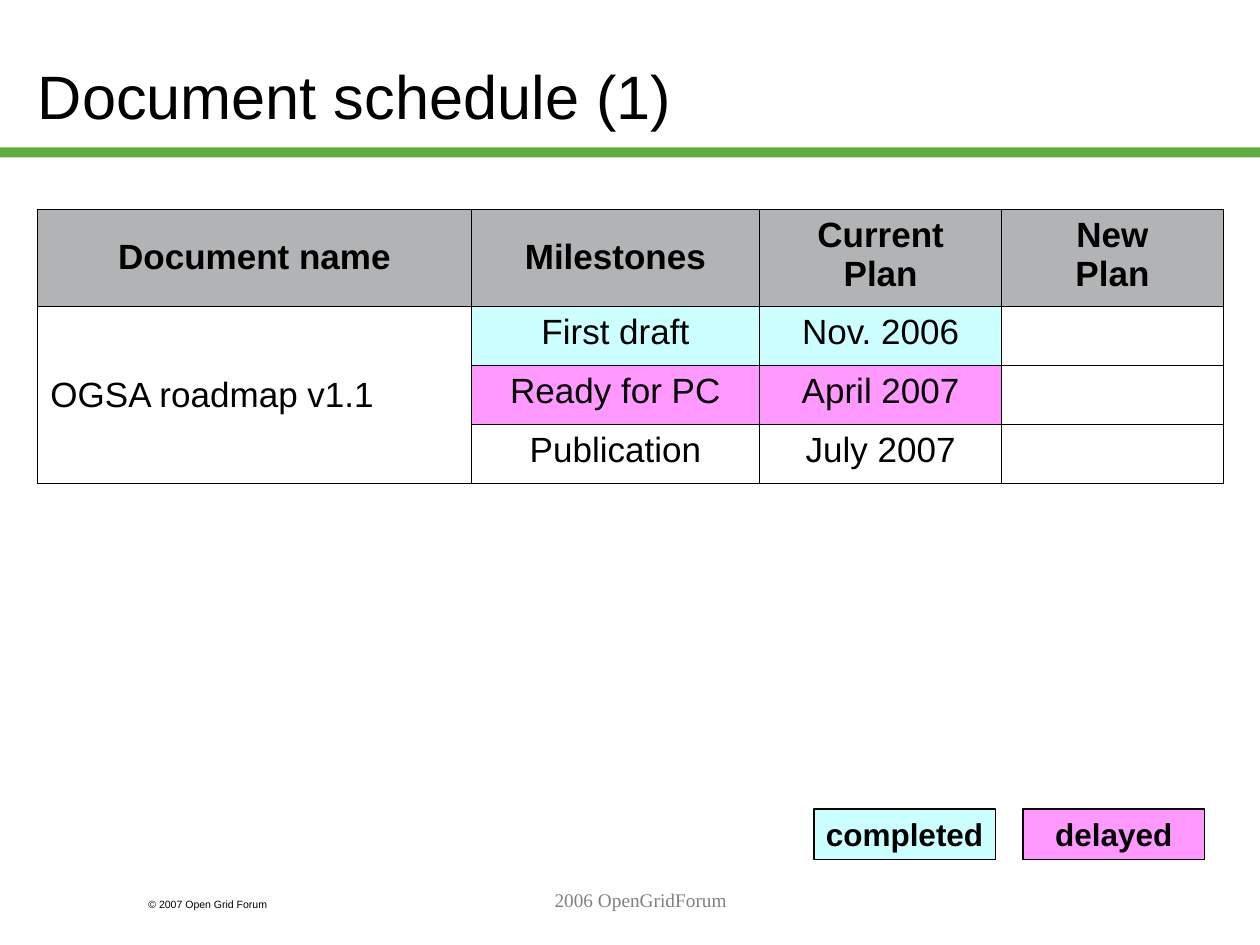
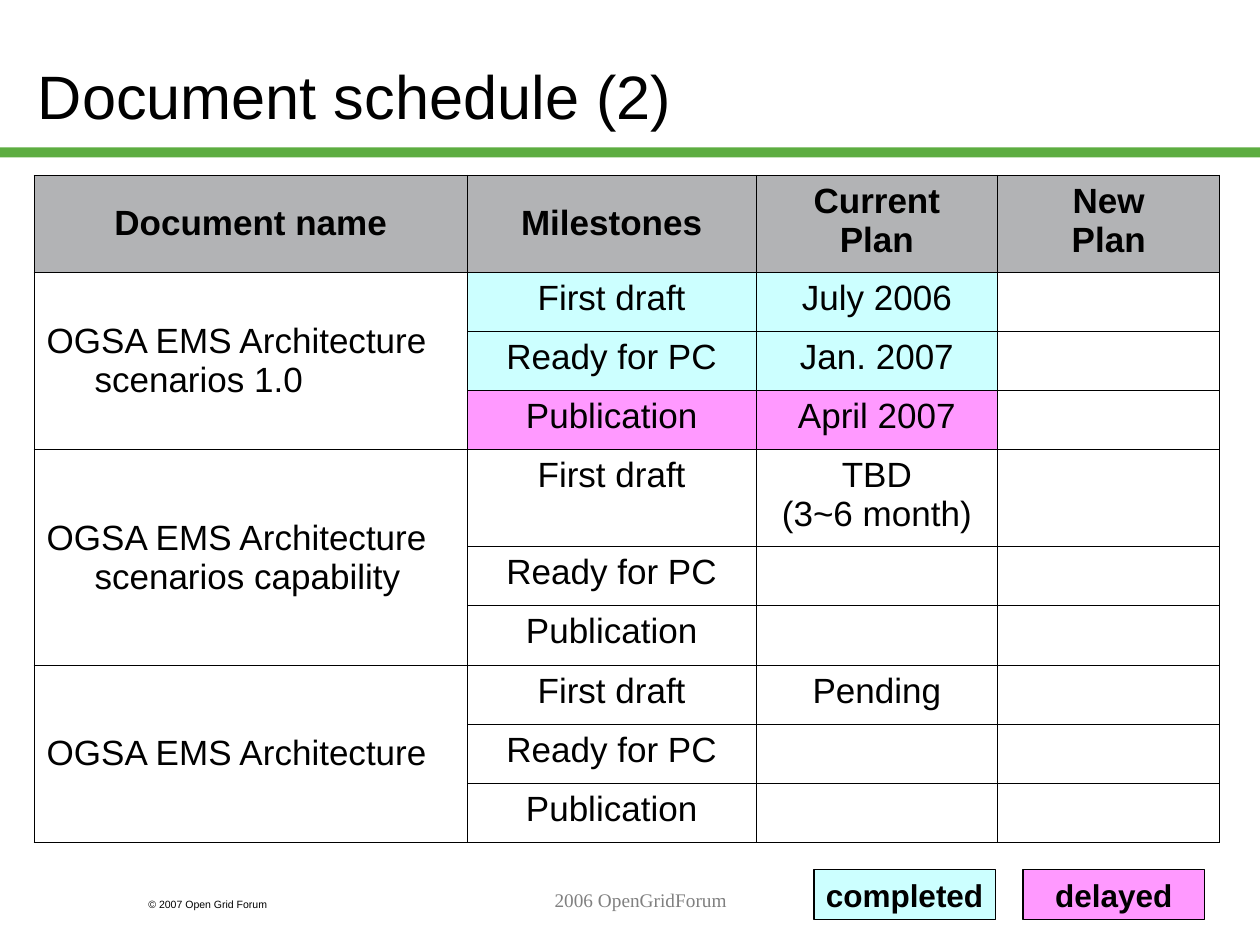
from dataclasses import dataclass
from typing import Any

from lxml.etree import SubElement
from pptx import Presentation
from pptx.dml.color import RGBColor
from pptx.enum.shapes import MSO_SHAPE as Preset
from pptx.enum.text import MSO_ANCHOR as Anchor, MSO_AUTO_SIZE as AutoSize, PP_ALIGN as Align
from pptx.oxml.ns import qn
from pptx.util import Inches, Pt

BLACK, GREY, GREEN = "000000", "808080", "5DAD41"
HEADER_FILL, COMPLETED, DELAYED = "B2B3B5", "CCFFFF", "FF99FF"

TITLE_FORMAT = {"name": "Arial", "size": Pt(35)}
HEADER_FORMAT = {"name": "Arial", "size": Pt(20), "bold": True}
CELL_FORMAT = {"name": "Arial", "size": Pt(20), "bold": False}
LEGEND_FORMAT = {"name": "Arial", "size": Pt(18), "bold": True}
COPYRIGHT_FORMAT = {"name": "Arial", "size": Pt(6)}
FOOTER_FORMAT = {"name": "Times New Roman", "size": Pt(11)}

HEADINGS = ("Document name", "Milestones", "Current\nPlan", "New\nPlan")
MILESTONES = ("First draft", "Ready for PC", "Publication")
COLUMN_WIDTHS = (3.44, 2.29, 1.92, 1.76)
TALL_ROW, ROW = 0.77, 0.47
HANGING = 0.38
LEGEND = (("completed", COMPLETED), ("delayed", DELAYED))


@dataclass(frozen=True)
class Document:
    """A document with the plan and status fill of each milestone."""
    name: str
    plans: tuple[str, str, str]
    fills: tuple[str, str, str] = ("", "", "")


@dataclass(frozen=True)
class Schedule:
    title: str
    left: float
    top: float
    legend_top: float
    documents: tuple[Document, ...]


SCHEDULES = (
    Schedule("Document schedule (1)", 0.3, 1.66, 6.42, (
        Document("OGSA roadmap v1.1", ("Nov. 2006", "April 2007", "July 2007"),
                 (COMPLETED, DELAYED, "")),
    )),
    Schedule("Document schedule (2)", 0.27, 1.39, 6.9, (
        Document("OGSA EMS Architecture scenarios 1.0", ("July 2006", "Jan. 2007", "April 2007"),
                 (COMPLETED, COMPLETED, DELAYED)),
        Document("OGSA EMS Architecture scenarios capability", ("TBD\n(3~6 month)", "", "")),
        Document("OGSA EMS Architecture", ("Pending", "", "")),
    )),
)


def rgb(color: str) -> RGBColor:
    return RGBColor.from_string(color)


def write(frame: Any, text: str, font_format: dict, align: Any = Align.LEFT,
          color: str = BLACK) -> None:
    """Fill a text frame, one paragraph for each line of the text."""
    frame.text = text
    for para in frame.paragraphs:
        para.alignment = align
        for span in para.runs:
            for name, value in font_format.items():
                setattr(span.font, name, value)
            span.font.color.rgb = rgb(color)


def add_box(page: Any, left: float, top: float, width: float, height: float, fill: str) -> Any:
    box = page.shapes.add_shape(
        Preset.RECTANGLE, Inches(left), Inches(top), Inches(width), Inches(height))
    box.shadow.inherit = False
    box.fill.solid()
    box.fill.fore_color.rgb = rgb(fill)
    box.line.fill.background()
    return box


def add_label(page: Any, left: float, top: float, width: float, height: float,
              text: str, font_format: dict, align: Any, color: str) -> None:
    box = page.shapes.add_textbox(Inches(left), Inches(top), Inches(width), Inches(height))
    box.text_frame.word_wrap = True
    write(box.text_frame, text, font_format, align, color)


def add_frame(page: Any, title: str) -> None:
    """Draw the title, band and footers that every page has."""
    heading = page.shapes.title
    place = {"left": 0.2, "top": 0.13, "width": 8.5, "height": 1.25}
    for name, value in place.items():
        setattr(heading, name, Inches(value))
    heading.text_frame.auto_size = AutoSize.NONE
    heading.text_frame.vertical_anchor = Anchor.MIDDLE
    write(heading.text_frame, title, TITLE_FORMAT)
    add_box(page, 0, 1.17, 10, 0.08, GREEN)
    add_label(page, 1.08, 7.08, 1.5, 0.2, "© 2007 Open Grid Forum",
              COPYRIGHT_FORMAT, Align.LEFT, BLACK)
    add_label(page, 2.17, 7, 5.83, 0.5, "2006 OpenGridForum",
              FOOTER_FORMAT, Align.CENTER, GREY)


def add_borders(cell: Any) -> None:
    properties = cell._tc.get_or_add_tcPr()
    for side in ("lnL", "lnR", "lnT", "lnB"):
        line = SubElement(properties, qn(f"a:{side}"), w=str(Pt(0.45)))
        fill = SubElement(line, qn("a:solidFill"))
        SubElement(fill, qn("a:srgbClr"), val=BLACK)


def fill_cell(cell: Any, text: str, fill: str = "", font_format: dict = CELL_FORMAT,
              align: Any = Align.CENTER, anchor: Any = Anchor.TOP) -> None:
    write(cell.text_frame, text, font_format, align)
    for para in cell.text_frame.paragraphs:
        properties = para._p.get_or_add_pPr()
        properties.set("marL", str(Inches(HANGING)))
        properties.set("indent", str(-Inches(HANGING)))
    cell.vertical_anchor = anchor
    if fill:
        cell.fill.solid()
        cell.fill.fore_color.rgb = rgb(fill)
    else:
        cell.fill.background()


def add_schedule(page: Any, schedule: Schedule) -> None:
    plans = [plan for document in schedule.documents for plan in document.plans]
    heights = [TALL_ROW] + [TALL_ROW if "\n" in plan else ROW for plan in plans]
    table = page.shapes.add_table(
        len(heights), len(HEADINGS), Inches(schedule.left), Inches(schedule.top),
        Inches(sum(COLUMN_WIDTHS)), Inches(sum(heights))).table
    table.first_row = table.horz_banding = False
    for column, width in zip(table.columns, COLUMN_WIDTHS):
        column.width = Inches(width)
    for row, height in zip(table.rows, heights):
        row.height = Inches(height)
    for cell in table.iter_cells():
        add_borders(cell)

    for column, heading in enumerate(HEADINGS):
        anchor = Anchor.TOP if "\n" in heading else Anchor.MIDDLE
        fill_cell(table.cell(0, column), heading, HEADER_FILL, HEADER_FORMAT, anchor=anchor)
    for index, document in enumerate(schedule.documents):
        first = 1 + index * len(MILESTONES)
        name_cell = table.cell(first, 0)
        name_cell.merge(table.cell(first + len(MILESTONES) - 1, 0))
        fill_cell(name_cell, document.name, align=Align.LEFT, anchor=Anchor.MIDDLE)
        entries = zip(MILESTONES, document.plans, document.fills)
        for row, (milestone, plan, fill) in enumerate(entries, first):
            fill_cell(table.cell(row, 1), milestone, fill)
            fill_cell(table.cell(row, 2), plan, fill)
            fill_cell(table.cell(row, 3), "")


def add_legend(page: Any, top: float) -> None:
    for index, (status, fill) in enumerate(LEGEND):
        box = add_box(page, 6.46 + index * 1.66, top, 1.44, 0.4, fill)
        box.line.color.rgb = rgb(BLACK)
        box.line.width = Pt(0.75)
        box.text_frame.word_wrap = False
        box.text_frame.vertical_anchor = Anchor.MIDDLE
        write(box.text_frame, status, LEGEND_FORMAT, Align.CENTER)


def main() -> None:
    deck = Presentation()
    deck.slide_width, deck.slide_height = Inches(10), Inches(7.5)
    title_only = deck.slide_layouts.get_by_name("Title Only")
    for schedule in SCHEDULES:
        page = deck.slides.add_slide(title_only)
        add_frame(page, schedule.title)
        add_schedule(page, schedule)
        add_legend(page, schedule.legend_top)
    deck.save("out.pptx")


if __name__ == "__main__":
    main()
